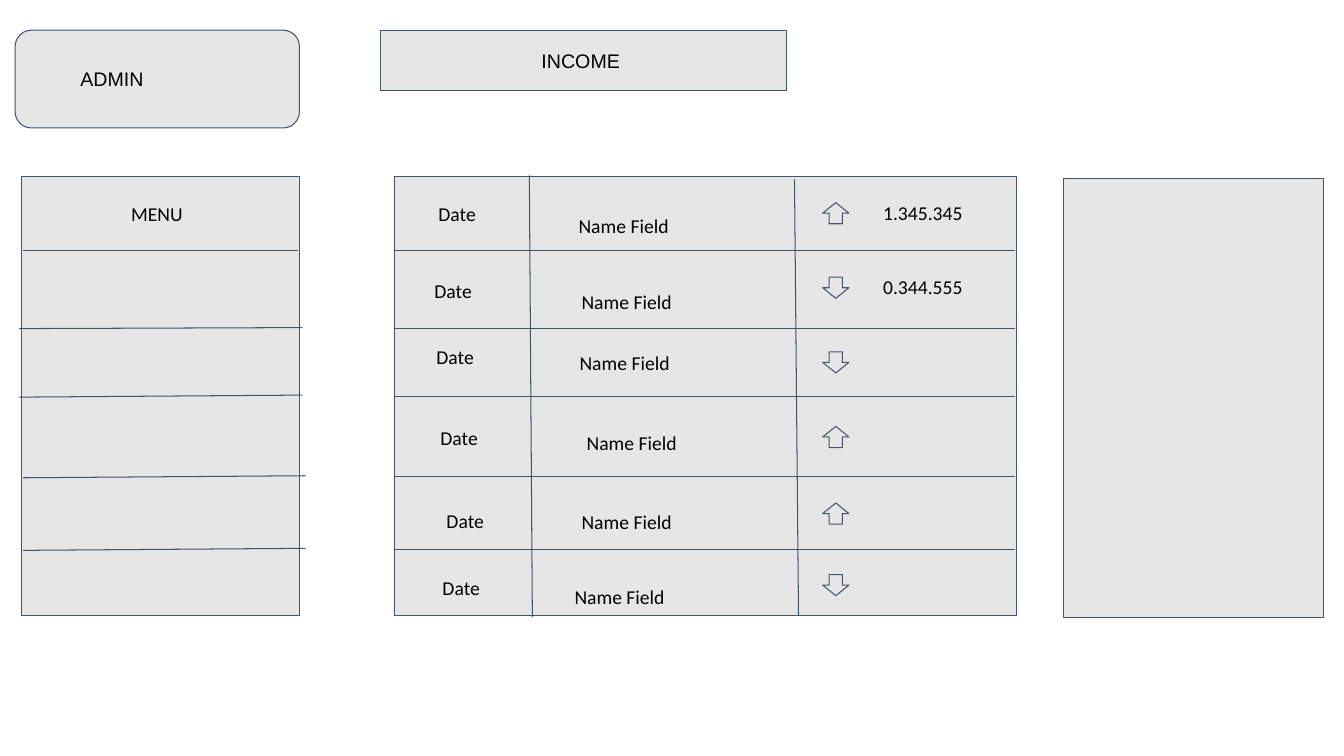
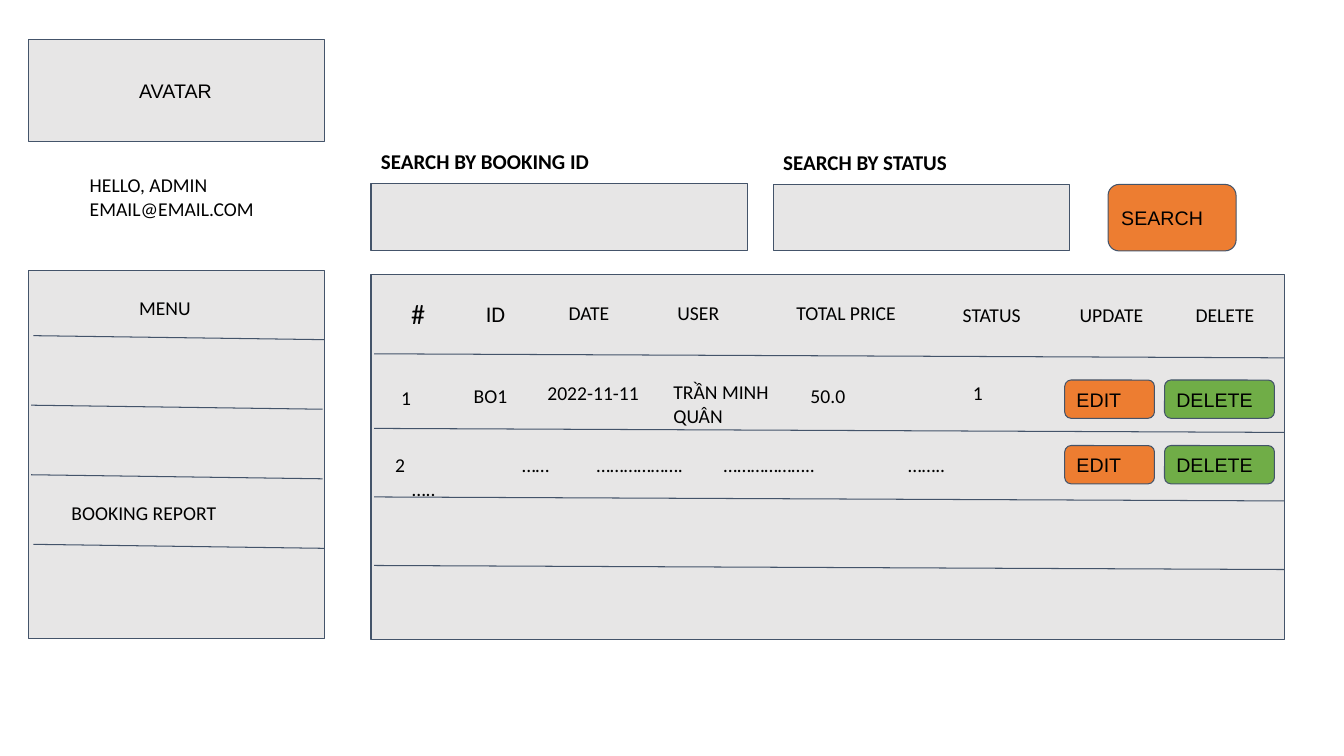
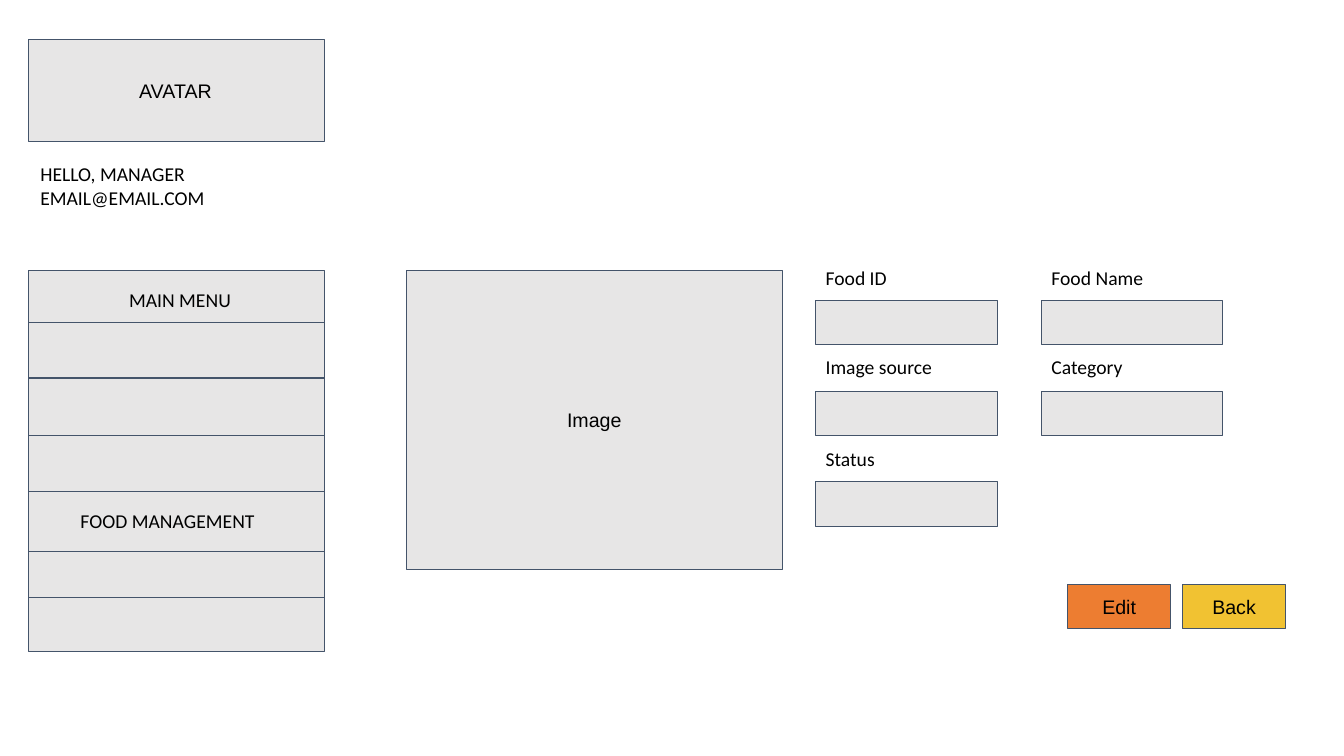
from lxml import etree
from pptx import Presentation
from pptx.dml.color import RGBColor
from pptx.enum import shapes, text
from pptx.oxml import ns
from pptx.util import Inches, Pt

GREY, ORANGE, GREEN, GOLD = "E7E6E6", "ED7D31", "70AD47", "F1C232"
EDGE, INK = "44546A", "000000"
KIND = shapes.MSO_SHAPE
RECT, ROUND = KIND.RECTANGLE, KIND.ROUNDED_RECTANGLE
ROW = 0.44
SIDE = (0.28, 2.94)  # left and width of the side panel

# Slide 1: income list
LEDGER = (3.91, 1.75, 6.17, 4.36)
RULES = [2.49, 3.26, 3.93, 4.73, 5.45]
SPLITS = [(5.25, 1.74, 5.28, 6.12), (7.88, 1.78, 7.92, 6.1)]
MENU_RULES = [(0.23, 2.49, 2.96, 2.49), (0.19, 3.26, 3, 3.25),
              (0.19, 3.94, 3, 3.92), (0.23, 4.74, 3.03, 4.72),
              (0.23, 5.46, 3.03, 5.44)]
# date left, date top, name left, name top, arrow, arrow top, amount
ENTRIES = [
    (4.25, 1.9, 5.64, 2.02, "up", 2.01, "1.345.345"),
    (4.21, 2.67, 5.67, 2.78, "down", 2.75, "0.344.555"),
    (4.23, 3.32, 5.65, 3.38, "down", 3.49, ""),
    (4.27, 4.13, 5.72, 4.18, "up", 4.23, ""),
    (4.33, 4.95, 5.67, 4.96, "up", 4.99, ""),
    (4.29, 5.61, 5.6, 5.7, "down", 5.7, ""),
]
ARROWS = {"up": KIND.UP_ARROW, "down": KIND.DOWN_ARROW}

# Slide 2: bookings; each item is text, left, top, width
HEADS = [("ID", 4.72, 2.88, 0.69, 16), ("#", 3.98, 2.84, 0.51, 20),
         ("DATE", 5.54, 2.89, 1.09, 14), ("USER", 6.62, 2.89, 1.27, 14),
         ("TOTAL PRICE", 7.8, 2.89, 1.42, 14),
         ("STATUS", 9.45, 2.91, 0.89, 14),
         ("UPDATE", 10.61, 2.91, 0.98, 14),
         ("DELETE", 11.76, 2.91, 0.87, 14)]
CELLS = [("1", 3.88, 3.73, 0.54), ("BO1", 4.6, 3.71, 0.54),
         ("2022-11-11", 5.33, 3.68, 1.19),
         ("TRẦN MINH QUÂN", 6.58, 3.67, 1.31),
         ("50.0", 7.94, 3.71, 1.09), ("1", 9.55, 3.68, 0.89),
         ("2", 3.82, 4.39, 0.5), ("……", 5.08, 4.39, 0.7),
         ("……………….", 5.82, 4.39, 1.2), ("………………..", 7.08, 4.39, 1.3),
         ("……..", 8.91, 4.39, 0.8), ("…..", 3.99, 4.63, 0.6)]
ACTIONS = [("EDIT", 10.56, 0.89, ORANGE), ("DELETE", 11.55, 1.09, GREEN)]
SEARCH = [("SEARCH BY BOOKING ID", 3.68, 3.73, 1.37, 1.82, 0.67),
          ("SEARCH BY STATUS", 7.67, 2.94, 1.38, 1.83, 0.66)]

# Slide 3: food form
FOOD_RULES = [3.2, 3.75, 4.32, 4.88, 5.47, 5.93]
FIELDS = [("Food ID", "Food Name"), ("Image source", "Category"), ("Status",)]
LABEL_TOPS = [2.54, 3.42, 4.33]
BUTTONS = [("Edit", ORANGE), ("Back", GOLD)]


def tint(code):
    return RGBColor.from_string(code)


def write(shape, words, pad=0.1, size=14, font="Arial", bold=False,
          mid=True, center=False):
    frame = shape.text_frame
    look = dict(margin_left=Inches(pad), margin_right=Inches(0.1),
                margin_top=Inches(0.1), margin_bottom=Inches(0.1),
                word_wrap=True, auto_size=text.MSO_AUTO_SIZE.NONE,
                vertical_anchor=text.MSO_ANCHOR.MIDDLE if mid
                else text.MSO_ANCHOR.TOP)
    for key, val in look.items():
        setattr(frame, key, val)
    frame.text = words
    for para in frame.paragraphs:
        para.alignment = text.PP_ALIGN.CENTER if center else text.PP_ALIGN.LEFT
        for run in para.runs:
            for key, val in dict(name=font, size=Pt(size), bold=bold).items():
                setattr(run.font, key, val)
            run.font.color.rgb = tint(INK)


def paint(shape, fill):
    shape.fill.solid()
    shape.fill.fore_color.rgb = tint(fill)
    shape.line.color.rgb = tint(EDGE)
    shape.line.width = Pt(0.75)


def box(slide, at, words="", fill=GREY, kind=RECT, **look):
    shape = slide.shapes.add_shape(kind, *map(Inches, at))
    shape.shadow.inherit = False
    paint(shape, fill)
    if words:
        write(shape, words, **look)


def label(slide, words, x, y, w, h=ROW, **look):
    shape = slide.shapes.add_textbox(*map(Inches, (x, y, w, h)))
    write(shape, words, font="Calibri", mid=False, **look)


def rule(slide, *ends):
    line = slide.shapes.add_connector(shapes.MSO_CONNECTOR.STRAIGHT,
                                      *map(Inches, ends))
    line.line.color.rgb = tint(EDGE)
    line.line.width = Pt(0.75)
    etree.SubElement(line._element.spPr, ns.qn("a:effectLst"))


def side(slide, height, hello, top, pad):
    """Avatar, greeting and empty menu panel."""
    x, w = SIDE
    box(slide, (x, 0.39, w, 1.01), "AVATAR", pad=1.1)
    label(slide, hello, x + 0.01, top, w, 0.67, pad=pad)
    box(slide, (x, 2.68, w, height))


def income(deck):
    slide = deck.slides.add_slide(deck.slide_layouts[5])
    title = slide.shapes.title
    spot = dict(left=3.77, top=0.3, width=4.03, height=0.6)
    for key, val in spot.items():
        setattr(title, key, Inches(val))
    paint(title, GREY)
    write(title, "INCOME", pad=1.6)
    box(slide, (0.15, 0.3, 2.82, 0.97), "ADMIN", kind=ROUND, pad=0.6)
    box(slide, (0.21, 1.75, 2.76, 4.36))
    box(slide, LEDGER)
    box(slide, (10.55, 1.77, 2.58, 4.36))
    label(slide, "MENU", 0.53, 1.9, 2.13, pad=0.77)
    left, _, wide, _ = LEDGER
    level = [(left + 0.01, y, left + wide - 0.01, y) for y in RULES]
    for ends in MENU_RULES + level + SPLITS:
        rule(slide, *ends)
    for dx, dy, nx, ny, way, ay, amount in ENTRIES:
        label(slide, "Date", dx, dy, 0.8)
        label(slide, "Name Field", nx, ny, 1.6)
        box(slide, (8.16, ay, 0.26, 0.21), kind=ARROWS[way])
        if amount:
            label(slide, amount, 8.66, ay - 0.12, 1.19)


def bookings(deck):
    slide = deck.slides.add_slide(deck.slide_layouts[6])
    side(slide, 3.66, "HELLO, ADMIN\nEMAIL@EMAIL.COM", 1.62, 0.6)
    label(slide, "MENU", 0.78, 2.84, 1.75, pad=0.6)
    label(slide, "BOOKING REPORT", 0.61, 4.87, 2.08)
    box(slide, (3.68, 2.72, 9.06, 3.62))
    for i, x in enumerate([0.33, 0.31, 0.31, 0.33]):
        y = 3.33 + i * 0.69
        rule(slide, x, y, x + 2.89, y + 0.04)
    for y in [3.51, 4.25, 4.93, 5.61]:
        rule(slide, 3.71, y, 12.74, y + 0.04)
    for words, x, y, w, size in HEADS:
        label(slide, words, x, y, w, size=size)
    for cell in CELLS:
        label(slide, *cell)
    for y in [3.77, 4.42]:
        for words, x, w, fill in ACTIONS:
            box(slide, (x, y, w, 0.38), words, fill, ROUND)
    for words, x, w, y, top, h in SEARCH:
        label(slide, words, x, y, w, size=15, bold=True)
        box(slide, (x, top, w, h))
    box(slide, (10.99, 1.83, 1.27, 0.66), "SEARCH", ORANGE, ROUND)


def food(deck):
    slide = deck.slides.add_slide(deck.slide_layouts[6])
    side(slide, 3.78, "HELLO, MANAGER\nEMAIL@EMAIL.COM", 1.51, 0.11)
    x, w = SIDE
    for y in FOOD_RULES:
        rule(slide, x, y, x + w, y)
    label(slide, "MAIN MENU", 0.68, 2.76, 2.14, pad=0.6)
    label(slide, "FOOD MANAGEMENT", 0.7, 4.95, 2.14)
    box(slide, (4.03, 2.68, 3.73, 2.97), "Image", center=True)
    for i, (names, top) in enumerate(zip(FIELDS, LABEL_TOPS)):
        for j, name in enumerate(names):
            left = 8.09 + j * 2.24
            label(slide, name, left, top, 1.8)
            box(slide, (left, 2.98 + i * 0.9, 1.8, ROW))
    for i, (name, fill) in enumerate(BUTTONS):
        box(slide, (10.59 + i * 1.14, 5.8, 1.02, ROW), name, fill, center=True)


def main():
    deck = Presentation()
    deck.slide_width, deck.slide_height = Inches(13.33), Inches(7.5)
    for make in (income, bookings, food):
        make(deck)
    deck.save("out.pptx")


if __name__ == "__main__":
    main()
